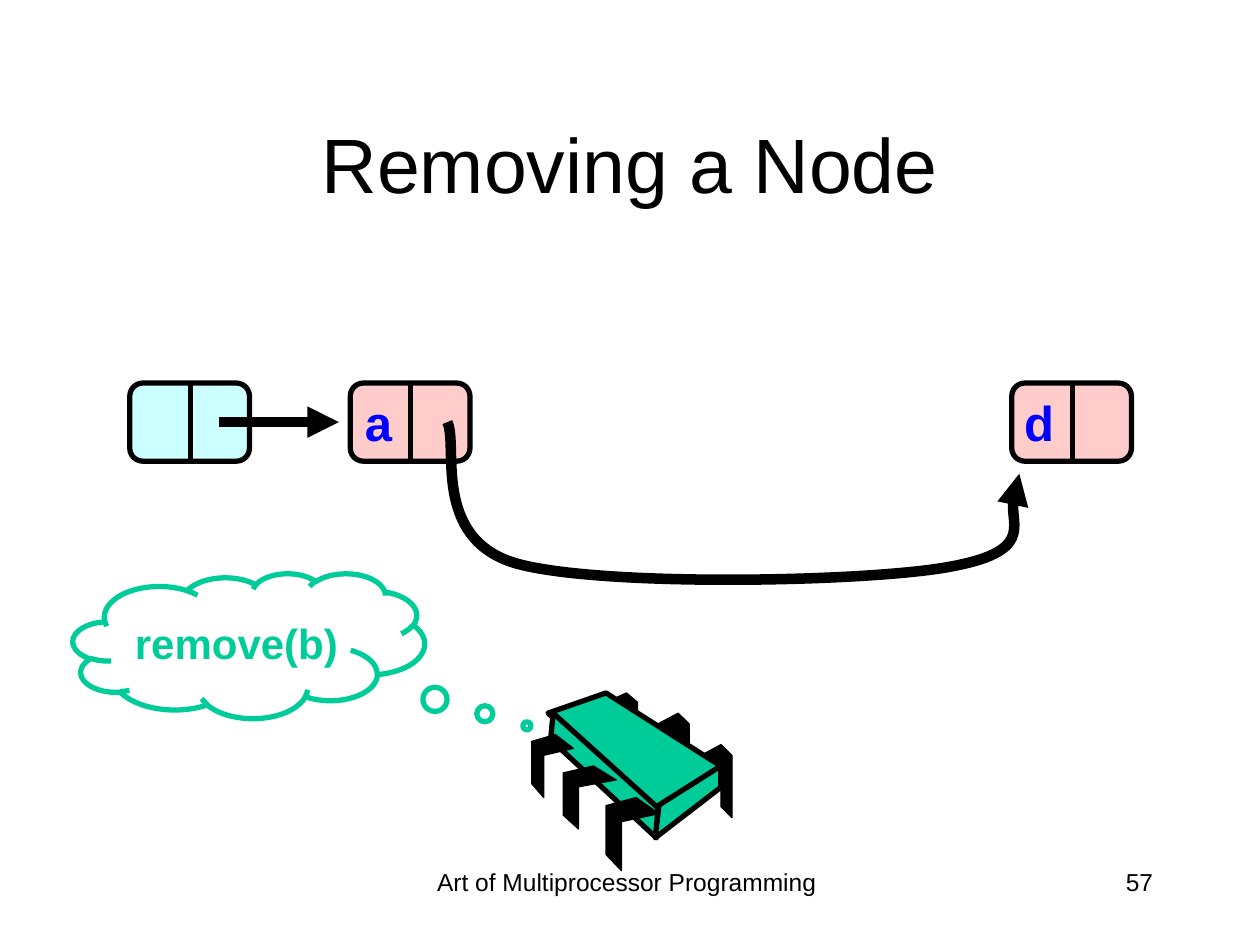
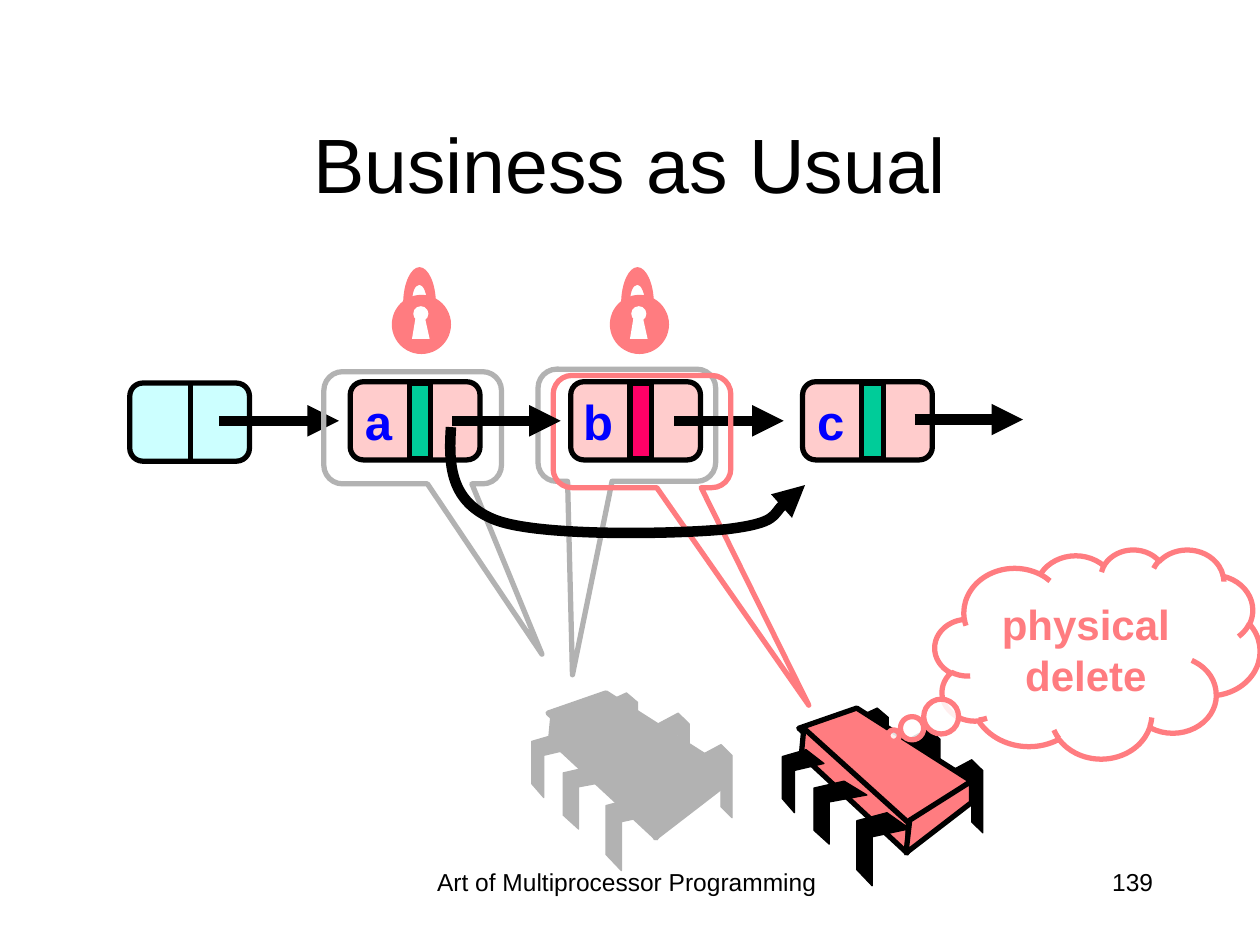
"""Two slides on list-based sets: removing a node by redirecting a pointer."""
from lxml import etree
from pptx import Presentation
from pptx.dml.color import RGBColor
from pptx.enum import shapes as kinds
from pptx.enum import text as styles
from pptx.oxml import ns
from pptx.util import Inches, Pt

BLACK = RGBColor(0x00, 0x00, 0x00)
WHITE = RGBColor(0xFF, 0xFF, 0xFF)
GRAY = RGBColor(0xB2, 0xB2, 0xB2)
AQUA = RGBColor(0xCC, 0xFF, 0xFF)
PINK = RGBColor(0xFF, 0xCC, 0xCC)
GREEN = RGBColor(0x00, 0xCC, 0x99)
CORAL = RGBColor(0xFF, 0x7C, 0x80)
MAGENTA = RGBColor(0xFF, 0x00, 0x66)
BLUE = RGBColor(0x00, 0x00, 0xFF)

FONT = "Arial"
FOOTER = "Art of Multiprocessor Programming"
SHAPE = kinds.MSO_SHAPE
ALIGN = styles.PP_ALIGN

BACK_LEG = [(0, .15), (.65, 0), (1, .15), (1, 1), (.65, .85), (.65, .29), (0, .43)]
FRONT_LEG = [(.57, 0), (1, .22), (.29, .33), (.29, 1), (0, .78), (0, .11)]
BACK_LEG_BOXES = [(1.34, .41, .25, .58), (1, .16, .25, .58), (.59, 0, .25, .5)]
FRONT_LEG_BOXES = [(.59, .83, .42, .58), (.25, .58, .42, .5), (0, .33, .33, .5)]
CHIP_FACES = [
    [(.59, 0), (1.5, .58), (.99, .93), (.13, .16)],
    [(.17, .16), (1, .91), (.99, 1.15), (.15, .37)],
    [(1.5, .58), (1.5, .75), (.98, 1.15), (1.01, .89)],
]
KEY_SLOT = [(.16, .57), (.19, .39), (.26, .39), (.3, .57)]
SHACKLE = [
    [(.16, .21), (.18, .14), (.22, .14)],
    [(.25, .14), (.28, .21), (.28, .29)],
    [(.35, .29)],
    [(.35, .13), (.29, 0), (.22, 0)],
    [(.15, 0), (.09, .13), (.09, .29)],
]


def inches(*lengths):
    """Convert numbers to lengths in inches."""
    return [Inches(length) for length in lengths]


def shift(points, left, top):
    """Move points by an offset."""
    return [(left + x, top + y) for x, y in points]


def stretch(profile, left, top, width, height):
    """Fit a unit profile into a box."""
    return shift([(x * width, y * height) for x, y in profile], left, top)


def paint(shape, fill=None, line=None, weight=3):
    """Set fill and line, and drop the shadow."""
    shape.shadow.inherit = False
    if fill is None:
        shape.fill.background()
    else:
        shape.fill.solid()
        shape.fill.fore_color.rgb = fill
    if line is None:
        shape.line.fill.background()
    else:
        shape.line.color.rgb = line
        shape.line.width = Pt(weight)
    return shape


def preset(slide, kind, box, fill=None, line=None, adjust=()):
    """Add a painted preset shape."""
    shape = slide.shapes.add_shape(kind, *inches(*box))
    for index, value in enumerate(adjust):
        shape.adjustments[index] = value
    return paint(shape, fill, line)


def write(frame, wording, size, color, align, bold=False):
    """Write one run into the first paragraph."""
    paragraph = frame.paragraphs[0]
    paragraph.alignment = align
    run = paragraph.add_run()
    run.text = wording
    run.font.name = FONT
    run.font.size = Pt(size)
    run.font.bold = bold
    run.font.color.rgb = color


def label(slide, box, wording, size, color, align, bold=False, wrap=True):
    """Add a text box with one run."""
    holder = slide.shapes.add_textbox(*inches(*box))
    holder.text_frame.word_wrap = wrap
    write(holder.text_frame, wording, size, color, align, bold)
    return holder


def outline(slide, start, segments, closed=True):
    """Add a freeform; one-point segments are straight, three-point ones curved."""
    points = [inches(*point) for segment in segments for point in segment]
    builder = slide.shapes.build_freeform(*inches(*start), scale=1.0)
    builder.add_line_segments(points, close=closed)
    shape = builder.convert_to_shape()
    steps = iter(list(shape.element.iter(ns.qn("a:lnTo"))))
    for segment in segments:
        curve = next(steps)
        if len(segment) == 3:
            bezier = etree.Element(ns.qn("a:cubicBezTo"))
            curve.addprevious(bezier)
            for step in (curve, next(steps), next(steps)):
                bezier.append(step[0])
                step.getparent().remove(step)
    return shape


def polygon(slide, points, fill, line=None, weight=3):
    """Add a closed straight-sided outline."""
    shape = outline(slide, points[0], [[point] for point in points[1:]])
    return paint(shape, fill, line, weight)


def point_at_end(shape):
    """Put a triangle arrowhead at the end of a line."""
    stroke = shape.element.spPr.find(ns.qn("a:ln"))
    etree.SubElement(stroke, ns.qn("a:tailEnd"), type="triangle")


def straight(slide, start, end, weight):
    """Add a straight black line without shadow."""
    line = slide.shapes.add_connector(
        kinds.MSO_CONNECTOR.STRAIGHT, *inches(*start, *end))
    line.line.color.rgb = BLACK
    line.line.width = Pt(weight)
    etree.SubElement(line.element.spPr, ns.qn("a:effectLst"))
    return line


def pointer(slide, left, right, y):
    """Add a horizontal next pointer."""
    point_at_end(straight(slide, (left, y), (right, y), 6))


def bypass(slide, start, segments):
    """Add a curved pointer that skips nodes."""
    curve = outline(slide, start, segments, closed=False)
    point_at_end(paint(curve, None, BLACK, 6))


def node(slide, left, top, width, fill, name=None, mark=None):
    """Add a list node with its divider, key and mark bit."""
    divider = left + .48
    parts = [
        preset(slide, SHAPE.ROUNDED_RECTANGLE, (left, top, width, .62), fill, BLACK),
        straight(slide, (divider, top - .01), (divider, top + .63), 3),
    ]
    if name:
        parts.append(label(slide, (left, top + .03, .43, .57), name, 28, BLUE,
                           ALIGN.RIGHT, bold=True, wrap=False))
    if mark is not None:
        parts.append(preset(slide, SHAPE.RECTANGLE,
                            (left + .47, top + .01, .17, .6), mark, BLACK))
    slide.shapes.add_group_shape(parts)


def head_node(slide):
    """Add the sentinel node at the head of the list."""
    node(slide, 1.03, 3.04, .95, AQUA)


def chip(slide, left, top, body, edge=BLACK):
    """Add a processor chip standing for a thread."""
    def legs(profile, boxes):
        return [polygon(slide, stretch(profile, left + x, top + y, w, h),
                        edge, edge, .75) for x, y, w, h in boxes]

    parts = legs(BACK_LEG, BACK_LEG_BOXES)
    parts += [polygon(slide, shift(face, left, top), body, edge)
              for face in CHIP_FACES]
    parts += legs(FRONT_LEG, FRONT_LEG_BOXES)
    slide.shapes.add_group_shape(parts)


def lock(slide, left, top):
    """Add a closed padlock."""
    body = preset(slide, SHAPE.OVAL, (left, top + .22, .47, .47), CORAL)
    keyhole = preset(slide, SHAPE.OVAL, (left + .17, top + .31, .12, .12), WHITE)
    slot = polygon(slide, shift(KEY_SLOT, left, top), WHITE)
    shackle = outline(slide, (left + .16, top + .29),
                      [shift(segment, left, top) for segment in SHACKLE])
    slide.shapes.add_group_shape([body, keyhole, slot, paint(shackle, CORAL)])


def claim(slide, left, top, color, tip):
    """Add a callout that ties a node to the thread locking it."""
    preset(slide, SHAPE.ROUNDED_RECTANGULAR_CALLOUT, (left, top, 1.41, .89),
           None, color, (*tip, .167))


def thought(slide, box, wording, color, tip, fill=None):
    """Add a thought cloud."""
    cloud = preset(slide, SHAPE.CLOUD_CALLOUT, box, fill, color, tip)
    cloud.text_frame.word_wrap = True
    cloud.text_frame.vertical_anchor = styles.MSO_ANCHOR.MIDDLE
    write(cloud.text_frame, wording, 24, color, ALIGN.CENTER, bold=True)
    return cloud


def start_slide(deck, heading, number):
    """Add a slide with title, footer and number."""
    slide = deck.slides.add_slide(deck.slide_layouts[5])
    title = slide.shapes.title
    title.left, title.top, title.width, title.height = inches(.75, .67, 8.5, 1.25)
    title.text_frame.auto_size = styles.MSO_AUTO_SIZE.NONE
    title.text_frame.vertical_anchor = styles.MSO_ANCHOR.MIDDLE
    write(title.text_frame, heading, 44, BLACK, ALIGN.CENTER)
    label(slide, (3.1, 6.83, 3.75, .5), FOOTER, 14, BLACK, ALIGN.CENTER)
    label(slide, (7.17, 6.83, 2.08, .5), str(number), 14, BLACK, ALIGN.RIGHT)
    return slide


def removing_slide(deck):
    """Show node a pointing past the removed nodes to d."""
    slide = start_slide(deck, "Removing a Node", 57)
    head_node(slide)
    node(slide, 2.78, 3.04, .95, PINK, "a")
    pointer(slide, 1.74, 2.69, 3.35)
    bypass(slide, (3.55, 3.35), [
        [(3.64, 3.53), (3.42, 4.27), (4.09, 4.47)],
        [(4.75, 4.66), (6.87, 4.62), (7.53, 4.5)],
        [(8.2, 4.38), (7.97, 3.91), (8.09, 3.76)],
    ])
    chip(slide, 4.22, 5.5, GREEN)
    node(slide, 8.03, 3.04, .95, PINK, "d")
    thought(slide, (.58, 4.55, 2.79, 1.15), "remove(b)", GREEN, (.791, .553))


def business_slide(deck):
    """Show the physical removal of the marked node b under locks."""
    slide = start_slide(deck, "Business as Usual", 139)
    claim(slide, 4.27, 2.93, GRAY, (-.306, 2.225))
    head_node(slide)
    pointer(slide, 1.74, 2.69, 3.34)
    chip(slide, 4.22, 5.5, GRAY, GRAY)
    for left, name, mark in [(2.78, "a", GREEN), (4.53, "b", MAGENTA),
                             (6.37, "c", GREEN)]:
        node(slide, left, 3.03, 1.03, PINK, name, mark)
    pointer(slide, 5.35, 6.22, 3.34)
    pointer(slide, 7.26, 8.12, 3.33)
    claim(slide, 2.57, 2.95, GRAY, (.728, 2.019))
    for left in (4.84, 3.11):
        lock(slide, left, 2.12)
    claim(slide, 4.39, 2.98, CORAL, (.939, 2.44))
    chip(slide, 6.21, 5.62, CORAL)
    cloud = thought(slide, (7.42, 4.36, 2.58, 1.66), "physical delete", CORAL,
                    (-.627, .391), WHITE)
    tint = cloud.element.spPr.find(ns.qn("a:solidFill"))[0]
    etree.SubElement(tint, ns.qn("a:alpha"), val="87000")
    pointer(slide, 3.59, 4.45, 3.34)
    bypass(slide, (3.58, 3.39), [
        [(3.56, 3.69), (3.57, 3.99), (3.94, 4.13)],
        [(4.3, 4.26), (5.36, 4.24), (5.77, 4.2)],
        [(6.18, 4.15), (6.26, 3.92), (6.39, 3.85)],
    ])


def main():
    """Build and save the deck."""
    deck = Presentation()
    deck.slide_width, deck.slide_height = inches(10, 7.5)
    removing_slide(deck)
    business_slide(deck)
    deck.save("out.pptx")


if __name__ == "__main__":
    main()
